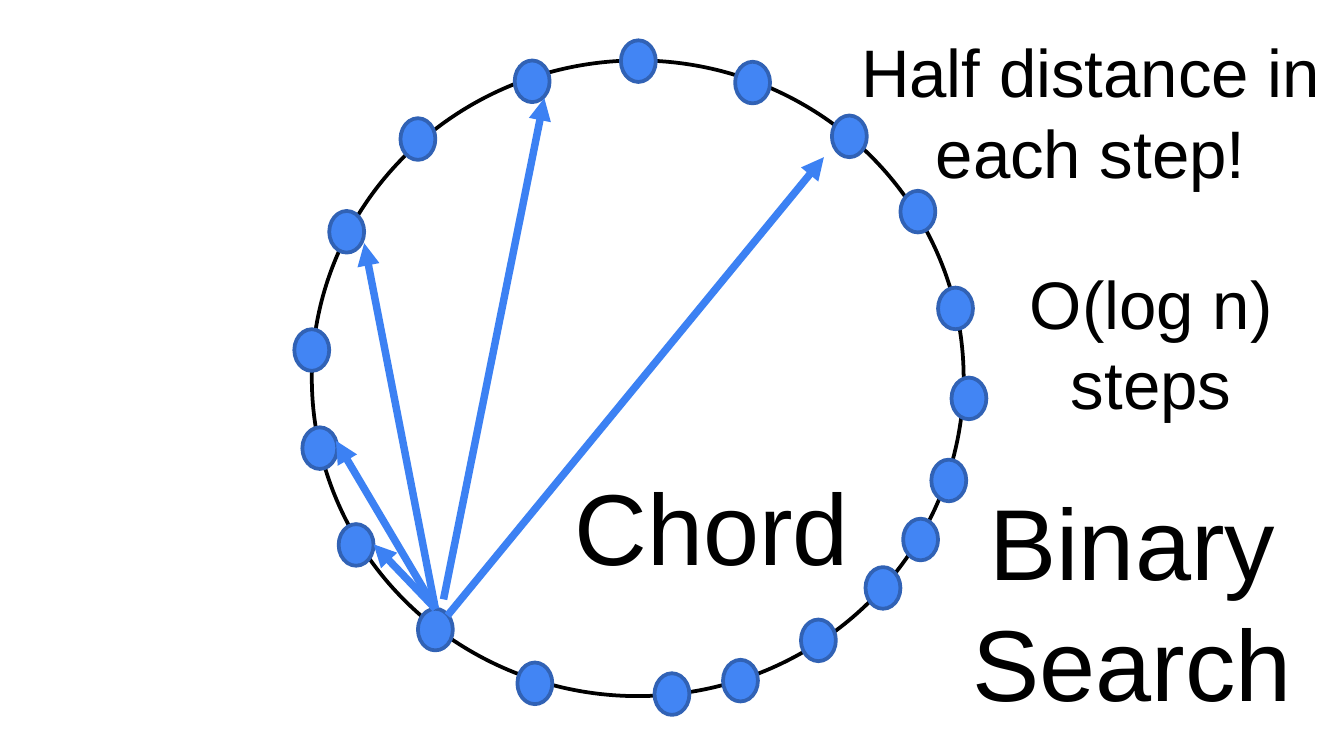
from lxml.etree import SubElement
from pptx import Presentation
from pptx.dml.color import RGBColor
from pptx.enum.shapes import MSO_CONNECTOR, MSO_SHAPE
from pptx.enum.text import MSO_ANCHOR, MSO_AUTO_SIZE, PP_ALIGN
from pptx.oxml.ns import qn
from pptx.util import Pt

PX = 9144  # EMU per px, 100 px to the inch
BLACK = RGBColor(0x00, 0x00, 0x00)
NODE_FILL = RGBColor(0x42, 0x85, 0xF4)
NODE_LINE = RGBColor(0x31, 0x62, 0xB5)
FINGER = RGBColor(0x3C, 0x81, 0xF3)

RING = (232, 45, 485, 473)
NODE_W, NODE_H = 26, 31
NODES = [  # left, top, clockwise from the lower right
    (644, 422), (596, 461), (538, 491), (487, 501), (385, 493), (311, 453), (252, 390),
    (225, 318), (219, 245), (245, 157), (298, 88), (383, 45), (462, 30), (547, 46),
    (619, 86), (670, 142), (698, 214), (708, 281), (693, 342), (672, 386),
]
FINGERS = [  # start, end
    ((324, 453), (278, 405)),
    ((324, 453), (250, 328)),
    ((324, 453), (271, 181)),
    ((333, 458), (613, 117)),
    ((330, 446), (405, 73)),
]
TITLE = ("Chord", (345, 341, 369, 101), 54)
LABELS = [  # text, box, size
    ("Binary\vSearch", (658, 352, 369, 192), 54),
    ("Half distance in each step!", (627, 18, 369, 131), 36),
    ("O(log n)\nsteps", (672, 190, 369, 131), 36),
]


def emu(*lengths):
    return [n * PX for n in lengths]


def add_oval(s, kind, box, line, fill=None):
    sp = s.shapes.add_shape(kind, *emu(*box))
    sp.shadow.inherit = False
    if fill is None:
        sp.fill.background()
    else:
        sp.fill.solid()
        sp.fill.fore_color.rgb = fill
    sp.line.color.rgb = line
    sp.line.width = Pt(2)


def add_arrow(s, start, end):
    c = s.shapes.add_connector(MSO_CONNECTOR.STRAIGHT, *emu(*start, *end))
    c.line.color.rgb = FINGER
    c.line.width = Pt(4)
    SubElement(c.line._get_or_add_ln(), qn("a:tailEnd"), type="triangle")
    SubElement(c._element.spPr, qn("a:effectLst"))


def write(sp, text, size, color=BLACK, font="Arial"):
    tf = sp.text_frame
    tf.text = text
    tf.word_wrap = True
    tf.auto_size = MSO_AUTO_SIZE.NONE
    tf.vertical_anchor = MSO_ANCHOR.TOP
    tf.margin_left = tf.margin_right = 10 * PX
    tf.margin_top = tf.margin_bottom = 5 * PX
    for p in tf.paragraphs:
        p.alignment = PP_ALIGN.CENTER
        p.line_spacing = 1.0
        p.space_before = Pt(0)
        for r in p.runs:
            r.font.size = Pt(size)
            r.font.name = font
            r.font.color.rgb = color


prs = Presentation()
prs.slide_width = 1000 * PX
prs.slide_height = prs.slide_width * 9 // 16
s = prs.slides.add_slide(prs.slide_layouts[5])

add_oval(s, MSO_SHAPE.OVAL, RING, BLACK)
for left, top in NODES:
    add_oval(s, MSO_SHAPE.FLOWCHART_CONNECTOR, (left, top, NODE_W, NODE_H), NODE_LINE, NODE_FILL)
for start, end in FINGERS:
    add_arrow(s, start, end)

text, box, size = TITLE
title = s.shapes.title
title.left, title.top, title.width, title.height = emu(*box)
write(title, text, size)
for text, box, size in LABELS:
    write(s.shapes.add_textbox(*emu(*box)), text, size)

prs.save("out.pptx")
